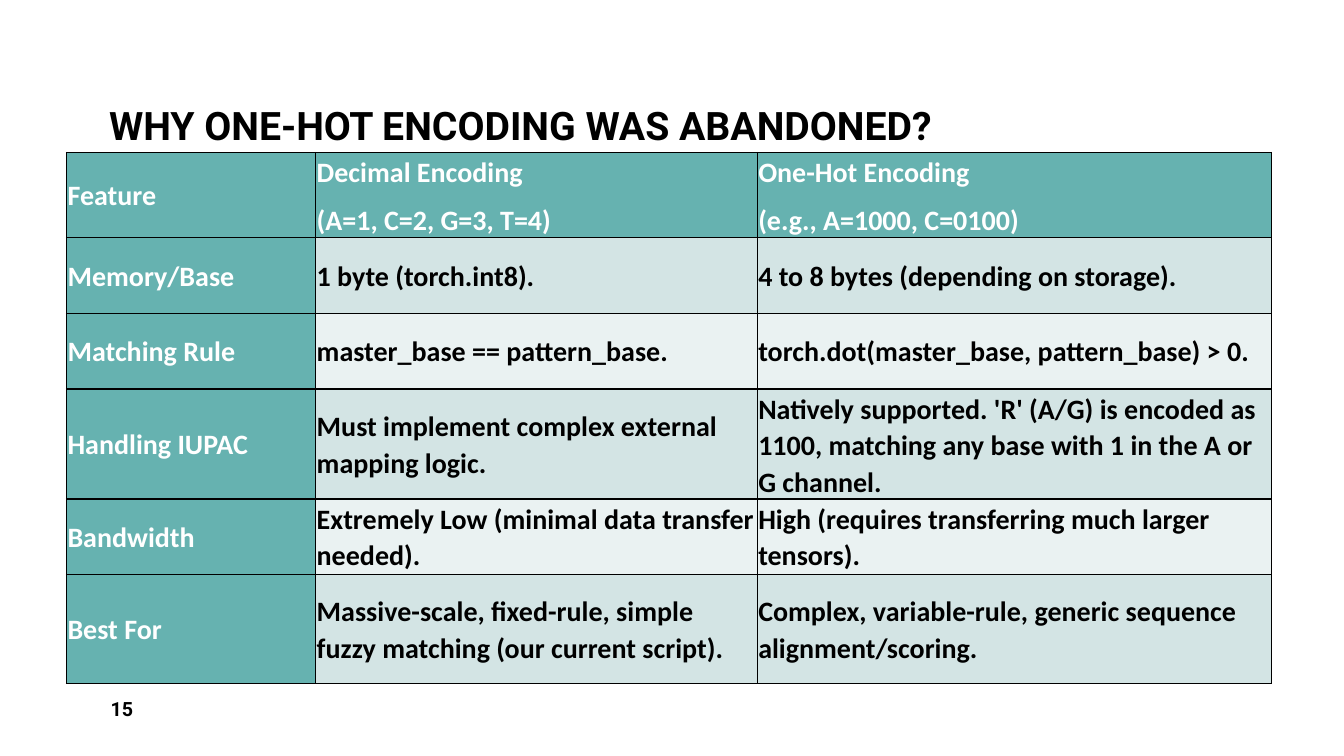
from lxml.etree import SubElement
from pptx import Presentation
from pptx.dml.color import RGBColor
from pptx.enum.text import MSO_ANCHOR as Anchor
from pptx.oxml.ns import qn
from pptx.util import Pt

TEAL, PALE, PALER = "66B2B0", "D3E4E4", "EAF2F2"
WHITE, BLACK = "FFFFFF", "000000"


def color(value):
    return RGBColor.from_string(value)


def add_border(cell, side):
    line = SubElement(cell._tc.get_or_add_tcPr(), qn(f"a:{side}"), w=str(Pt(1)))
    fill = SubElement(line, qn("a:solidFill"))
    SubElement(fill, qn("a:srgbClr"), val=BLACK)


deck = Presentation()
deck.slide_width, deck.slide_height = Pt(960), Pt(540)
page = deck.slides.add_slide(deck.slide_layouts[6])

labels = [
    ("WHY ONE-HOT ENCODING WAS ABANDONED?", 28, Anchor.BOTTOM, 0.9, 0, (70.8, 6, 819.4, 104)),
    ("15", 14, Anchor.MIDDLE, 1, 6, (72, 492, 210, 29)),
]
for text, size, anchor, spacing, space_after, bounds in labels:
    box = page.shapes.add_textbox(*map(Pt, bounds))
    frame = box.text_frame
    frame.word_wrap = True
    frame.vertical_anchor = anchor
    para = frame.paragraphs[0]
    para.text = text
    para.line_spacing = spacing
    para.space_after = Pt(space_after)
    para.font.name = "Roboto"
    para.font.size = Pt(size)
    para.font.bold = True
    para.font.color.rgb = color(BLACK)

rows = [
    ("Feature", "Decimal Encoding\n(A=1, C=2, G=3, T=4)", "One-Hot Encoding\n(e.g., A=1000, C=0100)"),
    ("Memory/Base", "1 byte (torch.int8).", "4 to 8 bytes (depending on storage)."),
    ("Matching Rule", "master_base == pattern_base.", "torch.dot(master_base, pattern_base) > 0."),
    (
        "Handling IUPAC",
        "Must implement complex external mapping logic.",
        "Natively supported. 'R' (A/G) is encoded as 1100, "
        "matching any base with 1 in the A or G channel.",
    ),
    (
        "Bandwidth",
        "Extremely Low (minimal data transfer needed).",
        "High (requires transferring much larger tensors).",
    ),
    (
        "Best For",
        "Massive-scale, fixed-rule, simple fuzzy matching (our current script).",
        "Complex, variable-rule, generic sequence alignment/scoring.",
    ),
]
column_widths = [178, 315.4, 367.2]
row_heights = [54, 54, 54, 78, 54, 78]

table = page.shapes.add_table(
    len(rows), len(column_widths),
    Pt(47.5), Pt(109), Pt(sum(column_widths)), Pt(sum(row_heights)),
).table
table.first_col = True
for column, width in zip(table.columns, column_widths):
    column.width = Pt(width)
for row, height in zip(table.rows, row_heights):
    row.height = Pt(height)

for row_index, texts in enumerate(rows):
    for column_index, text in enumerate(texts):
        cell = table.cell(row_index, column_index)
        is_header = row_index == 0 or column_index == 0
        band = PALE if row_index % 2 else PALER
        if row_index in (3, 5):
            band = PALE
        for side in ("lnL", "lnR", "lnT", "lnB"):
            add_border(cell, side)
        cell.fill.solid()
        cell.fill.fore_color.rgb = color(TEAL if is_header else band)
        cell.vertical_anchor = Anchor.MIDDLE
        cell.margin_left = cell.margin_right = Pt(0.75)
        cell.margin_top = cell.margin_bottom = Pt(0.75)
        cell.text_frame.text = text
        for para in cell.text_frame.paragraphs:
            para.line_spacing = 1.07
            para.space_after = Pt(8)
            para.font.name = "Calibri"
            para.font.size = Pt(20)
            para.font.bold = True
            para.font.color.rgb = color(WHITE if is_header else BLACK)

deck.save("out.pptx")
